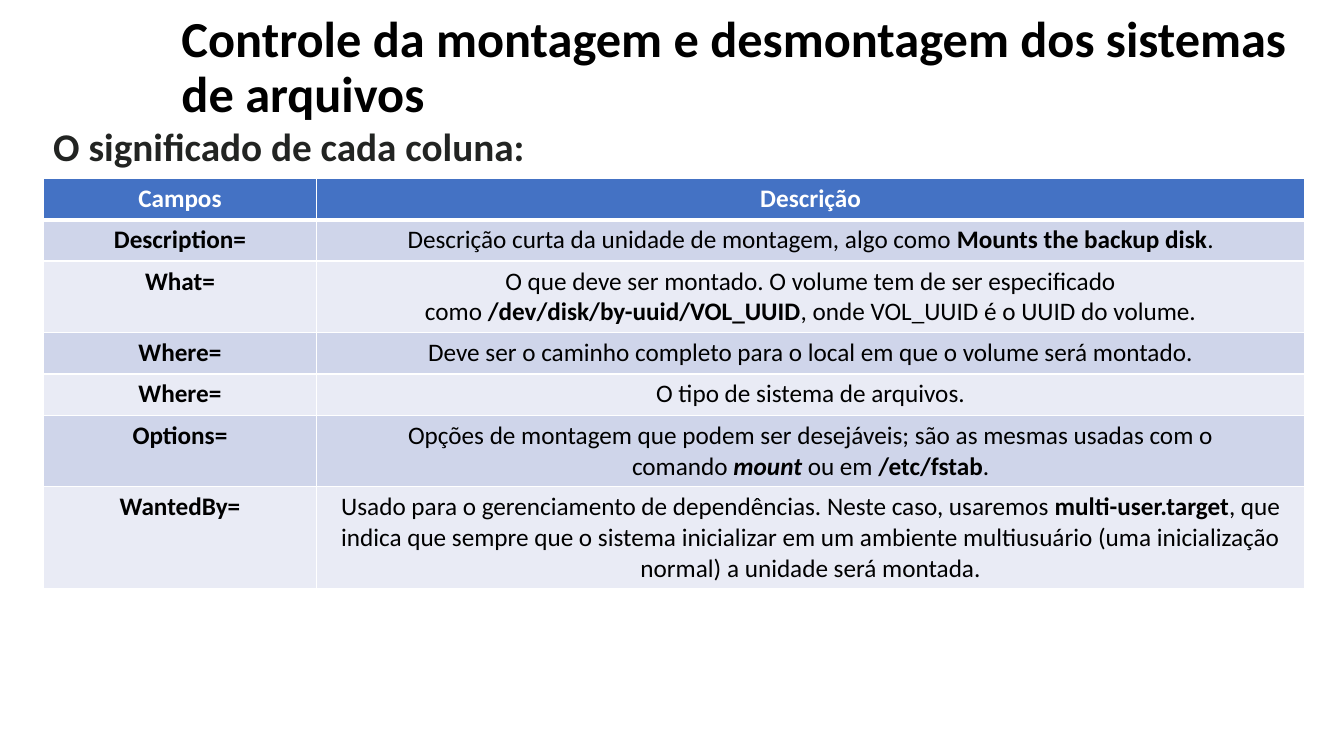
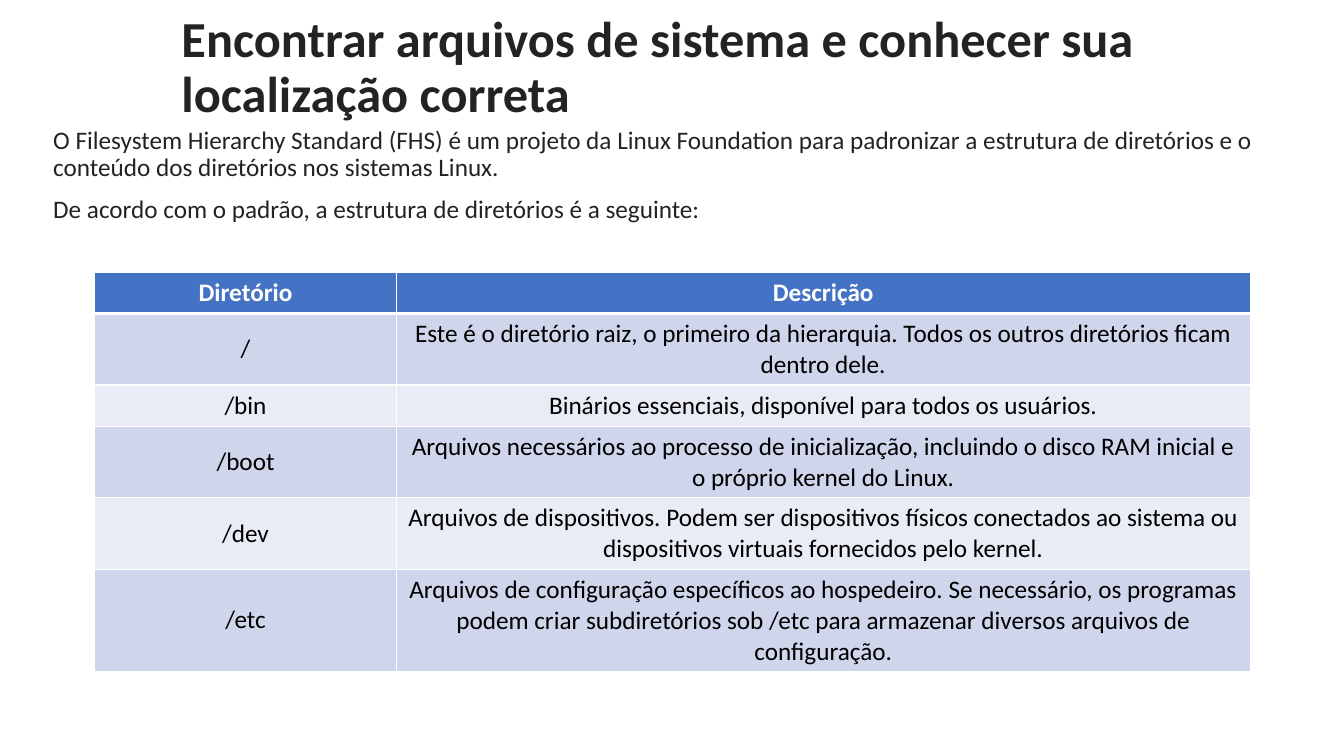
from lxml import etree
from pptx import Presentation
from pptx import util as u
from pptx.dml.color import RGBColor
from pptx.enum import text
from pptx.oxml import ns

COLORS = {
    "black": "000000",
    "ink": "222422",
    "white": "FFFFFF",
    "header": "4472C4",
    "band_dark": "CFD5EA",
    "band_light": "E9EBF5",
}
FONT = "Calibri"
TITLE_ONLY = 5
NBSP = chr(160)
ROW_HEIGHT = 0.41
EXTRA_LINE = 0.3


def color(name):
    return RGBColor.from_string(COLORS[name])


def place(shape, left, top, width, height):
    shape.left, shape.top = u.Inches(left), u.Inches(top)
    shape.width, shape.height = u.Inches(width), u.Inches(height)


class Deck:
    def __init__(self):
        self.presentation = Presentation()
        self.presentation.slide_width = u.Inches(13.33)
        self.presentation.slide_height = u.Inches(7.5)
        self.slide = None

    def add_slide(self, title, title_color):
        layout = self.presentation.slide_layouts[TITLE_ONLY]
        self.slide = self.presentation.slides.add_slide(layout)
        shape = self.slide.shapes.title
        place(shape, 1.7, 0.26, 11.23, 0.84)
        frame = shape.text_frame
        frame.word_wrap = True
        frame.auto_size = text.MSO_AUTO_SIZE.NONE
        frame.vertical_anchor = text.MSO_ANCHOR.MIDDLE
        paragraph = frame.paragraphs[0]
        paragraph.alignment = text.PP_ALIGN.LEFT
        paragraph.line_spacing = 0.9
        self.add_runs(paragraph, title, 36, title_color, bold=True)

    def add_runs(self, paragraph, content, size, color_name, bold=False):
        """Add runs; content is a string or a list of strings and (string, style) pairs."""
        pieces = [content] if isinstance(content, str) else content
        for piece in pieces:
            words, style = (piece, "") if isinstance(piece, str) else piece
            run = paragraph.add_run()
            run.text = words
            run.font.name = FONT
            run.font.size = u.Pt(size)
            run.font.bold = bold or "b" in style
            run.font.italic = "i" in style
            run.font.color.rgb = color(color_name)

    def body(self, lines, height, size, bold=False):
        shape = self.slide.shapes.add_textbox(
            u.Inches(0.43), u.Inches(1.22), u.Inches(12.5), u.Inches(height))
        frame = shape.text_frame
        frame.word_wrap = True
        for index, line in enumerate(lines):
            paragraph = frame.add_paragraph() if index else frame.paragraphs[0]
            paragraph.line_spacing = 0.9
            if index:
                paragraph.space_before = u.Pt(10)
            self.add_runs(paragraph, line, size, "ink", bold)

    def border(self, cell, top=1, bottom=1):
        """Draw white lines around a cell; must run before the cell is filled."""
        properties = cell._tc.get_or_add_tcPr()
        for side, points in (("L", 1), ("R", 1), ("T", top), ("B", bottom)):
            line = etree.SubElement(properties, ns.qn(f"a:ln{side}"), w=str(u.Pt(points)))
            fill = etree.SubElement(line, ns.qn("a:solidFill"))
            etree.SubElement(fill, ns.qn("a:srgbClr"), val=COLORS["white"])

    def table(self, left, top, widths, header, rows, anchor, bold_names=False):
        """Draw a banded table; each row is (name, description, number of text lines)."""
        heights = [ROW_HEIGHT] + [ROW_HEIGHT + EXTRA_LINE * (lines - 1) for *_, lines in rows]
        table = self.slide.shapes.add_table(
            len(heights), len(widths), u.Inches(left), u.Inches(top),
            u.Inches(sum(widths)), u.Inches(sum(heights))).table
        for column, width in zip(table.columns, widths):
            column.width = u.Inches(width)
        for row, height in zip(table.rows, heights):
            row.height = u.Inches(height)
        contents = [header] + [row[:2] for row in rows]
        for r, row in enumerate(contents):
            is_header = r == 0
            fill = "header" if is_header else ("band_dark" if r % 2 else "band_light")
            for c, content in enumerate(row):
                cell = table.cell(r, c)
                self.border(cell, top=3 if r == 1 else 1, bottom=3 if is_header else 1)
                cell.fill.solid()
                cell.fill.fore_color.rgb = color(fill)
                cell.vertical_anchor = text.MSO_ANCHOR.MIDDLE if is_header else anchor
                paragraph = cell.text_frame.paragraphs[0]
                paragraph.alignment = text.PP_ALIGN.CENTER
                self.add_runs(paragraph, content, 18, "white" if is_header else "black",
                              bold=is_header or (bold_names and c == 0))


MOUNT_FIELDS = [
    ("Description=",
     [f"Descrição curta da unidade de montagem, algo como{NBSP}",
      ("Mounts the backup disk", "b"), "."], 1),
    ("What=",
     [f"O que deve ser montado. O volume tem de ser especificado como{NBSP}",
      ("/dev/disk/by-uuid/VOL_UUID", "b"),
      f", onde{NBSP}VOL_UUID{NBSP}é o UUID do volume."], 2),
    ("Where=", "Deve ser o caminho completo para o local em que o volume será montado.", 1),
    ("Where=", "O tipo de sistema de arquivos.", 1),
    ("Options=",
     ["Opções de montagem que podem ser desejáveis; são as mesmas usadas com o "
      f"comando{NBSP}", (f"mount{NBSP}", "bi"), f"ou em{NBSP}", ("/etc/fstab", "b"), "."], 2),
    ("WantedBy=",
     [f"Usado para o gerenciamento de dependências. Neste caso, usaremos{NBSP}",
      ("multi-user.target", "b"),
      ", que indica que sempre que o sistema inicializar em um ambiente multiusuário "
      "(uma inicialização normal) a unidade será montada."], 3),
]

DIRECTORIES = [
    ("/", "Este é o diretório raiz, o primeiro da hierarquia. Todos os outros diretórios "
          "ficam dentro dele.", 2),
    ("/bin", "Binários essenciais, disponível para todos os usuários.", 1),
    ("/boot", "Arquivos necessários ao processo de inicialização, incluindo o disco RAM "
              "inicial e o próprio kernel do Linux.", 2),
    ("/dev", "Arquivos de dispositivos. Podem ser dispositivos físicos conectados ao sistema "
             "ou dispositivos virtuais fornecidos pelo kernel.", 2),
    ("/etc", "Arquivos de configuração específicos ao hospedeiro. Se necessário, os programas "
             f"podem criar subdiretórios sob{NBSP}/etc{NBSP}para armazenar diversos arquivos "
             "de configuração.", 3),
]


def main():
    deck = Deck()

    deck.add_slide("Controle da montagem e desmontagem dos sistemas de arquivos", "black")
    deck.body(["O significado de cada coluna:"], 0.53, 28, bold=True)
    deck.table(0.43, 1.77, (2.71, 9.8), ("Campos", "Descrição"), MOUNT_FIELDS,
               text.MSO_ANCHOR.TOP, bold_names=True)

    deck.add_slide("Encontrar arquivos de sistema e conhecer sua localização correta", "ink")
    deck.body([
        "O Filesystem Hierarchy Standard (FHS) é um projeto da Linux Foundation para "
        "padronizar a estrutura de diretórios e o conteúdo dos diretórios nos sistemas Linux.",
        "De acordo com o padrão, a estrutura de diretórios é a seguinte:",
    ], 1.2, 18)
    deck.table(0.94, 2.7, (2.99, 8.47), ("Diretório", "Descrição"), DIRECTORIES,
               text.MSO_ANCHOR.MIDDLE)

    deck.presentation.save("out.pptx")


if __name__ == "__main__":
    main()
